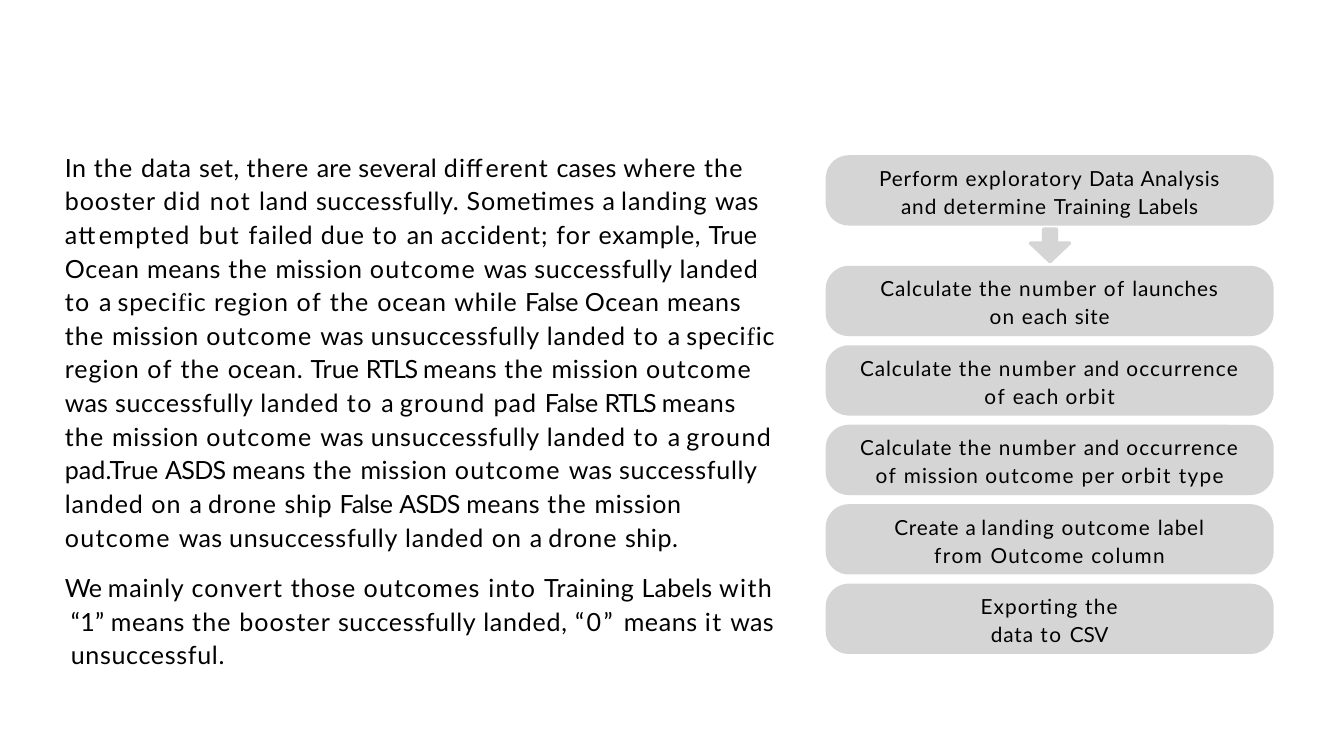
from pptx import Presentation, util as u
from pptx.dml.color import RGBColor
from pptx.enum import shapes, text

COLOURS = {"ink": "000000", "panel": "D5D5D5"}
WIDTH, HEIGHT = 21.99, 12.37

TRACKING = {
    2.8: "“0”",
    1.9: "but to",
    1.8: "did of from",
    1.7: "not orbit",
    1.6: "attempted outcome ground with it number type Outcome column",
    1.5: "into",
    1.4: "the for on convert outcomes exploratory determine occurrence per",
    1.3: "different pad Exporting",
    1.2: "booster landing due accident; region drone",
    1.1: "there where landed while Perform and Calculate each",
    1.0: "land Sometimes speci|f|ic ocean mainly those launches site label",
    0.9: "data failed Ocean unsuccessfully ship landed, Create",
    0.8: "example, mission successfully ocean. unsuccessful. Analysis",
    0.7: "In successfully. means ship.",
    0.6: "set, Training Data",
    0.5: "an",
    0.3: "are several was Labels “1”",
    0.2: "cases",
    0.1: "True pad.True",
    -0.1: "CSV",
    -0.4: "a False",
    -0.6: "We",
    -0.8: "ASDS",
    -1.6: "RTLS",
}
BODY_TRACKING = {word: gap for gap, words in TRACKING.items() for word in words.split()}
STEP_TRACKING = BODY_TRACKING | {
    "Training": 0.9, "Labels": 0.7, "mission": 1.1, "a": 0.1, "landing": 1.3, "data": 1.1}

CASES = """In the data set, there are several different cases where the
booster did not land successfully. Sometimes a landing was
attempted but failed due to an accident; for example, True
Ocean means the mission outcome was successfully landed
to a speci|f|ic region of the ocean while False Ocean means
the mission outcome was unsuccessfully landed to a speci|f|ic
region of the ocean. True RTLS means the mission outcome
was successfully landed to a ground pad False RTLS means
the mission outcome was unsuccessfully landed to a ground
pad.True ASDS means the mission outcome was successfully
landed on a drone ship False ASDS means the mission
outcome was unsuccessfully landed on a drone ship."""
LABELS = """We mainly convert those outcomes into Training Labels with
“1” means the booster successfully landed, “0” means it was
unsuccessful."""
STEPS = [
    "Perform exploratory Data Analysis\nand determine Training Labels",
    "Calculate the number of launches\non each site",
    "Calculate the number and occurrence\nof each orbit",
    "Calculate the number and occurrence\nof mission outcome per orbit type",
    "Create a landing outcome label\nfrom Outcome column",
    "Exporting the\ndata to CSV",
]


class Deck:
    """Draws styled elements on the current slide, placed by shares of its size."""

    def __init__(self, prs):
        self.prs = prs
        self.s = prs.slides.add_slide(prs.slide_layouts[6])
        self.font, self.accent = "Lato", "Times New Roman"

    def place(self, left, top, width, height):
        w, h = self.prs.slide_width, self.prs.slide_height
        return [round(v) for v in (left * w, top * h, width * w, height * h)]

    def frame(self, sp, anchor):
        tf = sp.text_frame
        tf.word_wrap = True
        tf.vertical_anchor = anchor
        tf.margin_left = tf.margin_right = tf.margin_top = tf.margin_bottom = 0
        return tf

    def add_run(self, p, words, size, gap, font):
        r = p.add_run()
        r.text = words
        r.font.name, r.font.size = font, u.Pt(size)
        r.font.color.rgb = RGBColor.from_string(COLOURS["ink"])
        r._r.get_or_add_rPr().set("spc", str(round(gap * 100)))

    def add_lines(self, p, content, size, tracking, align):
        p.alignment, p.line_spacing = align, 1.12
        for row, line in enumerate(content.split("\n")):
            if row:
                p.add_line_break()
            words = line.split()
            for i, word in enumerate(words):
                tail = " " if i < len(words) - 1 else ""
                for k, part in enumerate((word + tail).split("|")):
                    font = self.accent if k % 2 else self.font
                    self.add_run(p, part, size, tracking[word], font)

    def body(self, box, paragraphs):
        sp = self.s.shapes.add_textbox(*self.place(*box))
        tf = self.frame(sp, text.MSO_ANCHOR.TOP)
        for i, content in enumerate(paragraphs):
            p = tf.add_paragraph() if i else tf.paragraphs[0]
            self.add_lines(p, content, 29.5, BODY_TRACKING, text.PP_ALIGN.LEFT)
            if i:
                p.space_before = u.Pt(19.8)
                pPr = p._p.get_or_add_pPr()
                pPr.set("marL", str(u.Inches(0.1)))
                pPr.set("indent", str(-u.Inches(0.1)))

    def panel(self, kind, box, adjustments):
        sp = self.s.shapes.add_shape(kind, *self.place(*box))
        for i, value in enumerate(adjustments):
            sp.adjustments[i] = value
        sp.shadow.inherit = False
        sp.fill.solid()
        sp.fill.fore_color.rgb = RGBColor.from_string(COLOURS["panel"])
        sp.line.fill.background()
        return sp

    def step(self, box, content):
        sp = self.panel(shapes.MSO_SHAPE.ROUNDED_RECTANGLE, box, [0.33])
        tf = self.frame(sp, text.MSO_ANCHOR.MIDDLE)
        self.add_lines(tf.paragraphs[0], content, 24.5, STEP_TRACKING, text.PP_ALIGN.CENTER)

    def arrow(self, box):
        sp = self.panel(shapes.MSO_SHAPE.DOWN_ARROW, box, [0.33, 0.57])
        sp.line.color.rgb = RGBColor.from_string(COLOURS["panel"])
        sp.line.width = u.Pt(4.12)


def main():
    prs = Presentation()
    prs.slide_width, prs.slide_height = u.Inches(WIDTH), u.Inches(HEIGHT)
    deck = Deck(prs)
    deck.body((1.06 / WIDTH, 2.43 / HEIGHT, 12.67 / WIDTH, 8.59 / HEIGHT), [CASES, LABELS])
    left, width, height = 13.51 / WIDTH, 7.33 / WIDTH, 1.15 / HEIGHT
    first, second, pitch = 2.54 / HEIGHT, 4.35 / HEIGHT, 1.3 / HEIGHT
    for i, content in enumerate(STEPS):
        top = second + (i - 1) * pitch if i else first
        deck.step((left, top, width, height), content)
    deck.arrow((16.86 / WIDTH, 3.75 / HEIGHT, 0.64 / WIDTH, 0.53 / HEIGHT))
    prs.save("out.pptx")


if __name__ == "__main__":
    main()
